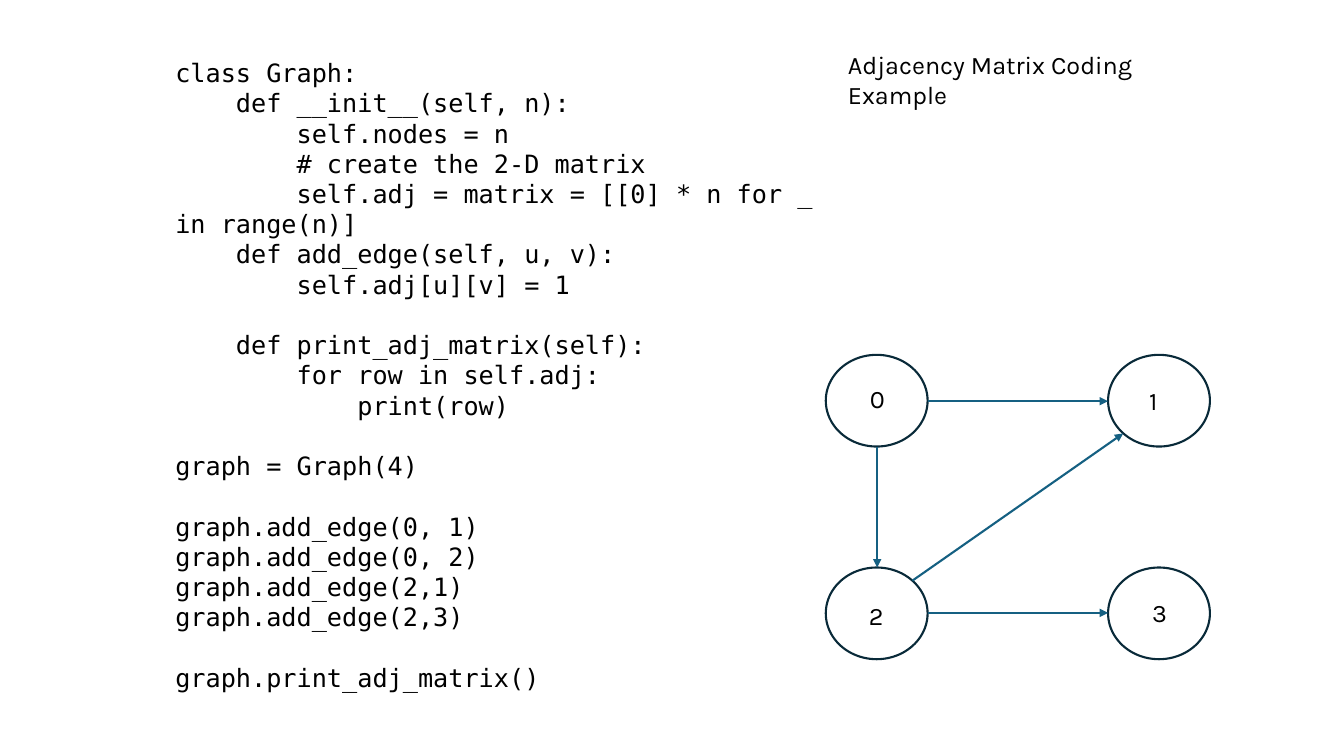
from dataclasses import dataclass
from math import cos, radians, sin

from lxml.etree import SubElement
from pptx import Presentation
from pptx.dml.color import RGBColor
from pptx.enum.shapes import MSO_CONNECTOR, MSO_SHAPE
from pptx.enum.text import MSO_ANCHOR, MSO_AUTO_SIZE, PP_ALIGN
from pptx.oxml.ns import qn
from pptx.slide import Slide
from pptx.text.text import TextFrame
from pptx.util import Emu, Pt

EMU_PER_PX = 9144  # 100 px to the inch
LINE_HEIGHT = 21.6
CODE_FONT, TEXT_FONT = "DejaVu Sans Mono", "Karla"
BLACK, NODE_LINE, EDGE_LINE = "000000", "092A39", "156082"
NODE_WIDTH, NODE_HEIGHT = 101, 91
LEFT, RIGHT, TOP, BOTTOM = 819, 1099, 352, 563

CODE = """class Graph:
    def __init__(self, n):
        self.nodes = n
        # create the 2-D matrix
        self.adj = matrix = [[0] * n for _ in range(n)]
    def add_edge(self, u, v):
        self.adj[u][v] = 1

    def print_adj_matrix(self):
        for row in self.adj:
            print(row)

graph = Graph(4)

graph.add_edge(0, 1)
graph.add_edge(0, 2)
graph.add_edge(2,1)
graph.add_edge(2,3)

graph.print_adj_matrix()"""


@dataclass(frozen=True)
class Node:
    label: str
    left: int
    top: int
    label_left: int
    label_top: int

    def rim(self, degrees: int) -> tuple[int, int]:
        """Point on the ellipse, measured clockwise from the right."""
        angle = radians(degrees)
        return (round(self.left + NODE_WIDTH / 2 * (1 + cos(angle))),
                round(self.top + NODE_HEIGHT / 2 * (1 + sin(angle))))


@dataclass(frozen=True)
class Edge:
    source: int
    target: int
    leave_at: int
    arrive_at: int


NODES = [
    Node("0", LEFT, TOP, 853, 375),
    Node("1", RIGHT, TOP, 1130, 377),
    Node("2", LEFT, BOTTOM, 852, 591),
    Node("3", RIGHT, BOTTOM, 1133, 588),
]
EDGES = [Edge(0, 1, 0, 180), Edge(0, 2, 90, 270),
         Edge(2, 1, 315, 135), Edge(2, 3, 0, 180)]


def px(length: int) -> Emu:
    return Emu(length * EMU_PER_PX)


def color(value: str) -> RGBColor:
    return RGBColor.from_string(value)


def write(frame: TextFrame, text: str, *, font: str = TEXT_FONT,
          size: int = 18, fill: str = BLACK, wrap: bool = True) -> None:
    """Fill the frame; an empty line becomes space before the next one."""
    frame.word_wrap = wrap
    frame.auto_size = MSO_AUTO_SIZE.NONE if wrap else MSO_AUTO_SIZE.SHAPE_TO_FIT_TEXT
    frame.vertical_anchor = MSO_ANCHOR.TOP
    previous = None
    for line in text.split("\n"):
        if line:
            paragraph = frame.paragraphs[0] if previous is None else frame.add_paragraph()
            paragraph.alignment = PP_ALIGN.LEFT
            paragraph.line_spacing = Pt(LINE_HEIGHT)
            paragraph.space_before = Pt(LINE_HEIGHT if previous == "" else 0)
            run = paragraph.add_run()
            run.text = line
            run.font.name = font
            run.font.size = Pt(size)
            run.font.color.rgb = color(fill)
        previous = line


def add_text(slide: Slide, left: int, top: int, width: int, height: int,
             text: str, **text_format) -> None:
    box = slide.shapes.add_textbox(px(left), px(top), px(width), px(height))
    write(box.text_frame, text, **text_format)


def add_title(slide: Slide) -> None:
    title = slide.shapes.title
    title.left, title.top, title.width, title.height = map(px, (831, 44, 388, 70))
    write(title.text_frame, "Adjacency Matrix Coding Example")


def add_node(slide: Slide, node: Node) -> None:
    ellipse = slide.shapes.add_shape(MSO_SHAPE.OVAL, px(node.left), px(node.top),
                                     px(NODE_WIDTH), px(NODE_HEIGHT))
    ellipse.shadow.inherit = False
    ellipse.fill.background()
    ellipse.line.color.rgb = color(NODE_LINE)
    ellipse.line.width = Pt(1.5)
    add_text(slide, node.label_left, node.label_top, 34, 40, node.label, wrap=False)


def add_edge(slide: Slide, edge: Edge) -> None:
    start = NODES[edge.source].rim(edge.leave_at)
    end = NODES[edge.target].rim(edge.arrive_at)
    arrow = slide.shapes.add_connector(MSO_CONNECTOR.STRAIGHT, *map(px, start + end))
    arrow.line.color.rgb = color(EDGE_LINE)
    arrow.line.width = Pt(1.5)
    SubElement(arrow.line._get_or_add_ln(), qn("a:tailEnd"), type="triangle")
    SubElement(arrow._element.spPr, qn("a:effectLst"))


def main() -> None:
    deck = Presentation()
    deck.slide_width, deck.slide_height = px(1333), px(750)
    slide = deck.slides.add_slide(deck.slide_layouts.get_by_name("Title Only"))
    add_title(slide)
    add_text(slide, 164, 52, 667, 646, CODE, font=CODE_FONT)
    for node in NODES:
        add_node(slide, node)
    for edge in EDGES:
        add_edge(slide, edge)
    deck.save("out.pptx")


if __name__ == "__main__":
    main()
